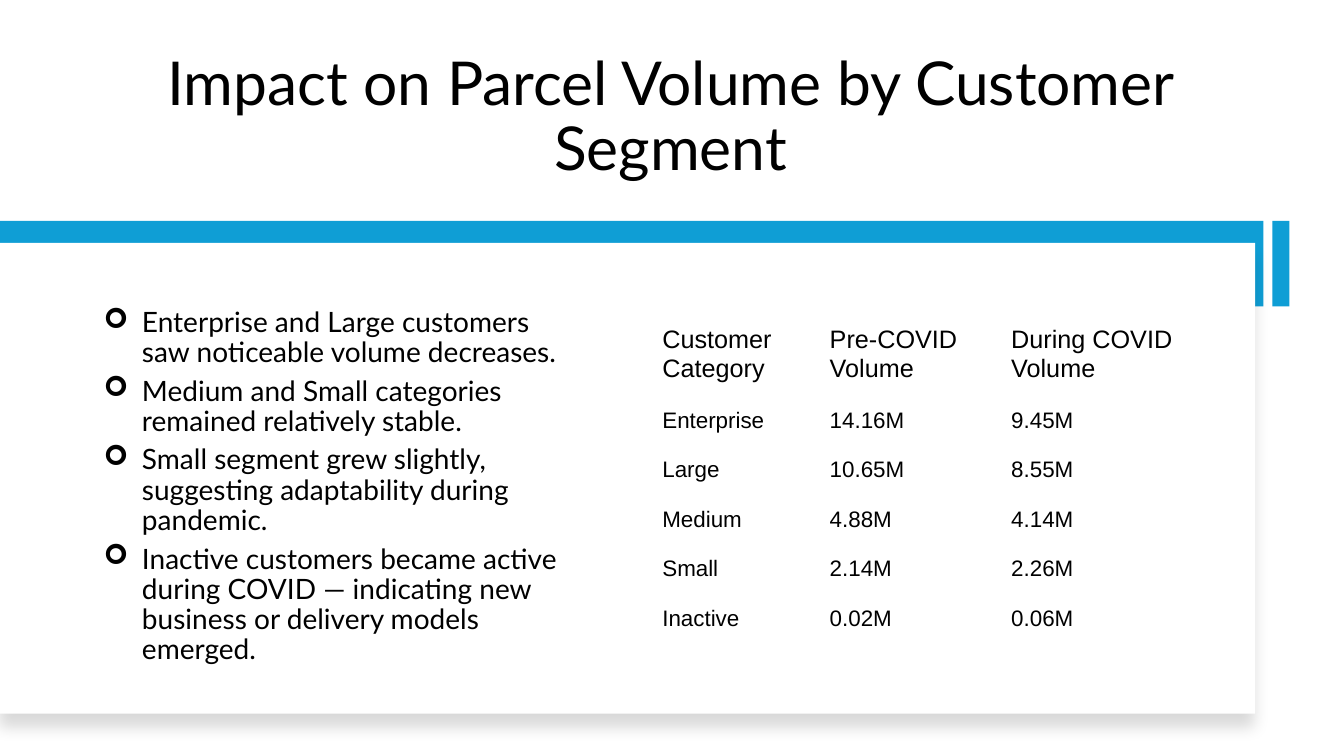
"""Build a slide on parcel volume by customer segment."""
from dataclasses import dataclass

from lxml import etree
from pptx import Presentation
from pptx.dml.color import RGBColor
from pptx.enum import shapes, text
from pptx.oxml import ns
from pptx.util import Inches, Pt

TITLE = "Impact on Parcel Volume by Customer Segment"
POINTS = [
    "Enterprise and Large customers saw noticeable volume decreases.",
    "Medium and Small categories remained relatively stable.",
    "Small segment grew slightly, suggesting adaptability during pandemic.",
    "Inactive customers became active during COVID — indicating new business or delivery models emerged.",
]
ROWS = [
    ("Customer Category", "Pre-COVID Volume", "During COVID Volume"),
    ("Enterprise", "14.16M", "9.45M"),
    ("Large", "10.65M", "8.55M"),
    ("Medium", "4.88M", "4.14M"),
    ("Small", "2.14M", "2.26M"),
    ("Inactive", "0.02M", "0.06M"),
]
WIDTHS = (1.66, 1.8, 2.17)
HEAD, BODY = 0.83, 0.49


@dataclass(frozen=True)
class Theme:
    ink: str = "000000"
    blue: str = "0F9ED5"
    white: str = "FFFFFF"
    sans: str = "Lato"
    grid: str = "Arial"
    title: float = 43.2
    point: int = 20
    head: int = 18
    cell: int = 16


THEME = Theme()


def style(para, size, font):
    for run in para.runs:
        run.font.size = Pt(size)
        run.font.name = font
        run.font.color.rgb = RGBColor.from_string(THEME.ink)


def add_box(slide, area, color):
    box = slide.shapes.add_shape(shapes.MSO_SHAPE.RECTANGLE, *map(Inches, area))
    box.shadow.inherit = False
    box.fill.solid()
    box.fill.fore_color.rgb = RGBColor.from_string(color)
    box.line.fill.background()
    return box


def add_shade(box):
    effects = box._element.spPr.find(ns.qn("a:effectLst"))
    shade = etree.SubElement(
        effects, ns.qn("a:outerShdw"), blurRad=str(Pt(11)), dist=str(Pt(10)),
        dir="5400000", algn="t", rotWithShape="0")
    color = etree.SubElement(shade, ns.qn("a:srgbClr"), val=THEME.ink)
    etree.SubElement(color, ns.qn("a:alpha"), val="15000")


def set_title(slide):
    title = slide.shapes.title
    title.left, title.top, title.width, title.height = map(Inches, (0.77, 0.45, 11.76, 1.42))
    frame = title.text_frame
    frame.text = TITLE
    frame.word_wrap = True
    frame.auto_size = text.MSO_AUTO_SIZE.NONE
    frame.vertical_anchor = text.MSO_ANCHOR.BOTTOM
    para = frame.paragraphs[0]
    para.alignment = text.PP_ALIGN.CENTER
    para.line_spacing = 0.9
    style(para, THEME.title, THEME.sans)


def add_points(slide):
    frame = slide.shapes.add_textbox(*map(Inches, (0.87, 2.84, 4.96, 3.98))).text_frame
    frame.word_wrap = True
    frame.vertical_anchor = text.MSO_ANCHOR.MIDDLE
    frame.text = "\n".join(POINTS)
    for para in frame.paragraphs:
        para.line_spacing = 0.9
        para.space_after = Pt(6)
        style(para, THEME.point, THEME.sans)
        props = para._p.get_or_add_pPr()
        props.set("marL", str(Inches(0.44)))
        props.set("indent", str(Inches(-0.38)))
        etree.SubElement(props, ns.qn("a:buFont"), typeface="Wingdings")
        etree.SubElement(props, ns.qn("a:buChar"), char="➢")


def add_grid(slide):
    high = HEAD + BODY * (len(ROWS) - 1)
    area = map(Inches, (6.46, 3.1, sum(WIDTHS), high))
    table = slide.shapes.add_table(len(ROWS), len(WIDTHS), *area).table
    table.first_row = table.horz_banding = False
    for col, wide in zip(table.columns, WIDTHS):
        col.width = Inches(wide)
    for r, values in enumerate(ROWS):
        table.rows[r].height = Inches(BODY if r else HEAD)
        for c, value in enumerate(values):
            cell = table.cell(r, c)
            cell.text = value
            cell.fill.background()
            cell.vertical_anchor = text.MSO_ANCHOR.MIDDLE
            cell.margin_left = cell.margin_right = Inches(0.11)
            cell.margin_top = cell.margin_bottom = Inches(0.06)
            style(cell.text_frame.paragraphs[0], THEME.cell if r else THEME.head, THEME.grid)


def main():
    deck = Presentation()
    deck.slide_width, deck.slide_height = Inches(13.33), Inches(7.5)
    slide = deck.slides.add_slide(deck.slide_layouts[5])
    set_title(slide)
    add_box(slide, (0, 2.19, 12.53, 0.85), THEME.blue)
    add_shade(add_box(slide, (0, 2.41, 12.45, 4.67), THEME.white))
    add_points(slide)
    add_box(slide, (12.62, 2.19, 0.17, 0.85), THEME.blue)
    add_grid(slide)
    deck.save("out.pptx")


if __name__ == "__main__":
    main()
